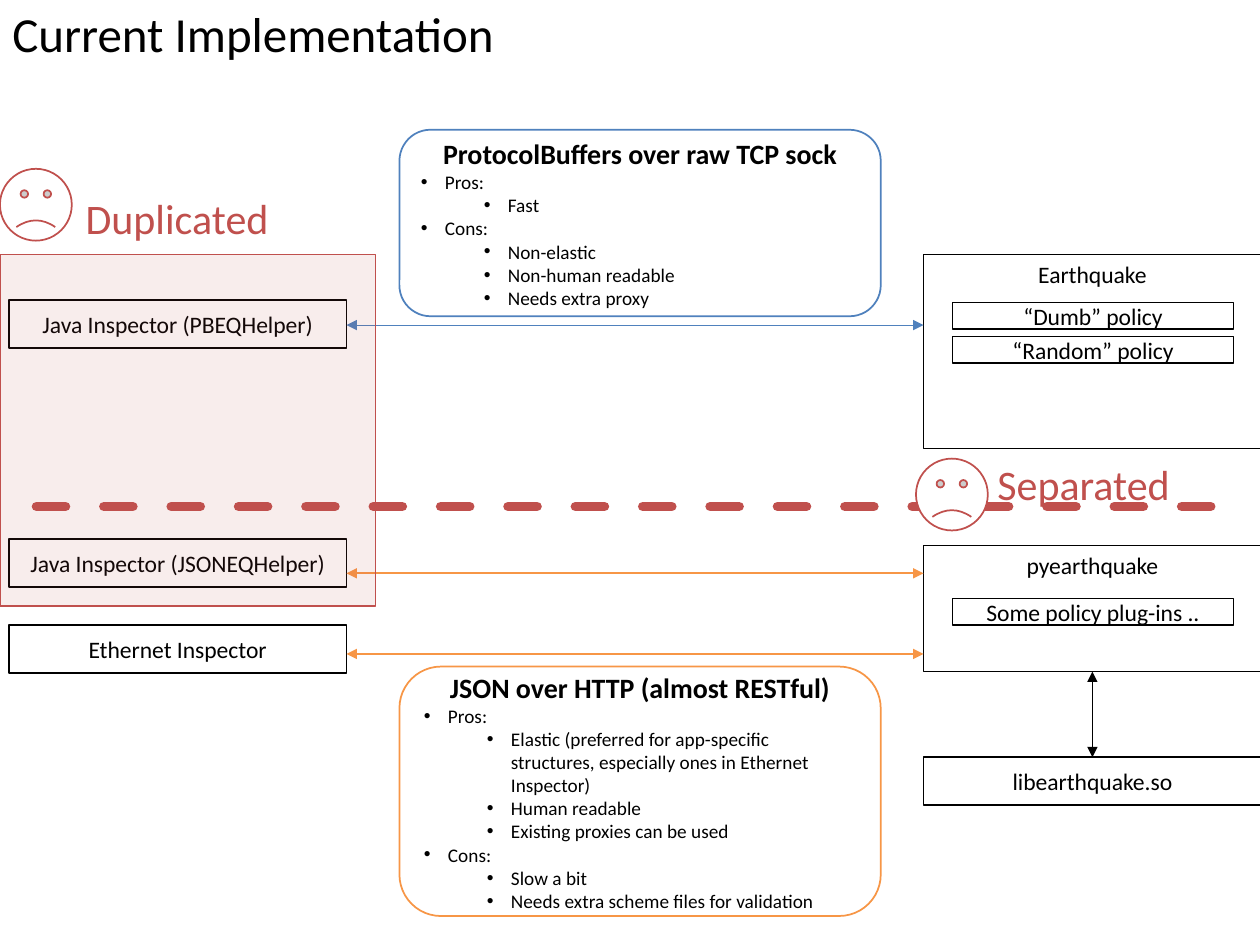
from dataclasses import dataclass

from lxml.etree import SubElement as Sub
from pptx import Presentation
from pptx.dml.color import RGBColor as Rgb
from pptx.enum.dml import MSO_LINE as Dash
from pptx.enum.shapes import MSO_CONNECTOR as Conn, MSO_SHAPE as Kind
from pptx.enum.text import MSO_ANCHOR as Anchor, MSO_AUTO_SIZE as Fit, PP_ALIGN as Align
from pptx.oxml.ns import qn
from pptx.util import Inches, Pt


@dataclass(frozen=True)
class Theme:
    """Colours, type sizes and font."""
    font: str = "Calibri"
    ink: str = "000000"
    paper: str = "FFFFFF"
    blue: str = "4F81BD"
    orange: str = "F79646"
    red: str = "C0504D"
    title: float = 28
    mood: float = 24
    head: float = 16
    body: float = 13.5
    note: float = 11


class Board:
    """Draws styled parts on one slide."""

    def __init__(self, slide, theme):
        """Keep the slide and the theme."""
        self.shapes, self.theme = slide.shapes, theme

    def add_text(self, para, text, size, color=None, bold=False):
        """Add one run to a paragraph."""
        run = para.add_run()
        run.text = text
        font = run.font
        font.name, font.size, font.bold = self.theme.font, Pt(size), bold
        font.color.rgb = Rgb.from_string(color or self.theme.ink)

    def shape(self, kind, at, line, alpha=None):
        """Add an outlined shape, white or tinted with its line colour."""
        form = self.shapes.add_shape(kind, *map(Inches, at))
        form.shadow.inherit = False
        form.fill.solid()
        form.fill.fore_color.rgb = Rgb.from_string(line if alpha else self.theme.paper)
        if alpha:
            tint = form._element.spPr.find(qn("a:solidFill"))[0]
            Sub(tint, qn("a:alpha"), val=str(alpha * 1000))
        form.line.color.rgb = Rgb.from_string(line)
        form.line.width = Pt(1)
        return form

    def box(self, text, at, anchor=Anchor.MIDDLE):
        """Add a black box with a centred label."""
        frame = self.shape(Kind.RECTANGLE, at, self.theme.ink).text_frame
        frame.word_wrap, frame.vertical_anchor = True, anchor
        frame.margin_left = frame.margin_right = Inches(0.07)
        frame.margin_top = frame.margin_bottom = Inches(0.04)
        para = frame.paragraphs[0]
        para.alignment = Align.CENTER
        self.add_text(para, text, self.theme.body)

    def title(self, text, at):
        """Add the slide title."""
        frame = self.shapes.add_textbox(*map(Inches, at)).text_frame
        frame.word_wrap, frame.vertical_anchor = True, Anchor.MIDDLE
        para = frame.paragraphs[0]
        para.line_spacing = 0.9
        self.add_text(para, text, self.theme.title)

    def mood(self, text, at):
        """Add a red remark that fits its text."""
        frame = self.shapes.add_textbox(*map(Inches, at)).text_frame
        frame.word_wrap, frame.auto_size = False, Fit.SHAPE_TO_FIT_TEXT
        para = frame.paragraphs[0]
        para.alignment = Align.CENTER
        self.add_text(para, text, self.theme.mood, self.theme.red)

    def card(self, head, items, at, line):
        """Add a round card with a heading and (level, text) bullets."""
        frame = self.shape(Kind.ROUNDED_RECTANGLE, at, line).text_frame
        frame.word_wrap, frame.vertical_anchor = True, Anchor.MIDDLE
        para = frame.paragraphs[0]
        para.alignment = Align.CENTER
        self.add_text(para, head, self.theme.head, bold=True)
        for level, text in items:
            para = frame.add_paragraph()
            para.level, para.alignment = level, Align.LEFT
            props = para._p.get_or_add_pPr()
            props.set("marL", str(Inches(0.19 + 0.5 * level)))
            props.set("indent", str(Inches(-0.19)))
            Sub(props, qn("a:buFont"), typeface="Arial")
            Sub(props, qn("a:buChar"), char="•")
            self.add_text(para, text, self.theme.note)

    def line(self, start, end, color, width):
        """Add a plain line and return it with its XML."""
        link = self.shapes.add_connector(Conn.STRAIGHT, *map(Inches, start + end))
        link.line.color.rgb = Rgb.from_string(color)
        link.line.width = Pt(width)
        props = link._element.spPr
        Sub(props, qn("a:effectLst"))
        return link, props.find(qn("a:ln"))

    def arrow(self, start, end, color, width):
        """Add a line with a head at both ends."""
        _, stroke = self.line(start, end, color, width)
        for tip in ("a:headEnd", "a:tailEnd"):
            Sub(stroke, qn(tip), type="triangle")

    def split(self, start, end, color, width):
        """Add a dashed line with round caps."""
        link, stroke = self.line(start, end, color, width)
        link.line.dash_style = Dash.DASH
        stroke.set("cap", "rnd")

    def frown(self, left, top):
        """Add a sad face."""
        face = self.shape(Kind.SMILEY_FACE, (left, top, 0.57, 0.57), self.theme.red)
        face.adjustments[0] = -0.047


def main():
    """Build the slide."""
    deck = Presentation()
    deck.slide_width, deck.slide_height = Inches(10), Inches(7.5)
    theme = Theme()
    board = Board(deck.slides.add_slide(deck.slide_layouts[6]), theme)
    left, right, wide, tall = 0.07, 7.33, 2.68, 0.38
    edge = left + wide

    board.title("Current Implementation", (0, -0.01, 6.15, 0.6))

    board.box("Earthquake", (right, 2.02, wide, 1.54), Anchor.TOP)
    board.box("pyearthquake", (right, 4.33, wide, 1), Anchor.TOP)
    board.box("libearthquake.so", (right, 6.01, wide, tall))
    for text, top in (("“Dumb” policy", 2.4), ("“Random” policy", 2.67),
                      ("Some policy plug-ins ..", 4.75)):
        board.box(text, (7.56, top, 2.23, 0.21))
    for text, top in (("Java Inspector (PBEQHelper)", 2.38),
                      ("Java Inspector (JSONEQHelper)", 4.28),
                      ("Ethernet Inspector", 4.96)):
        board.box(text, (left, top, wide, tall))

    for y, color, width in ((2.58, theme.blue, 0.5), (4.55, theme.orange, 1),
                            (5.19, theme.orange, 1)):
        board.arrow((edge, y), (right, y), color, width)
    board.arrow((8.67, 5.33), (8.67, 6.01), theme.ink, 0.5)

    board.card("ProtocolBuffers over raw TCP sock", (
        (0, "Pros:"), (1, "Fast"),
        (0, "Cons:"), (1, "Non-elastic"), (1, "Non-human readable"),
        (1, "Needs extra proxy"),
    ), (3.17, 1.03, 3.82, 1.48), theme.blue)
    board.card("JSON over HTTP (almost RESTful)", (
        (0, "Pros:"),
        (1, "Elastic (preferred for app-specific structures, "
            "especially ones in Ethernet Inspector)"),
        (1, "Human readable"), (1, "Existing proxies can be used"),
        (0, "Cons:"), (1, "Slow a bit"),
        (1, "Needs extra scheme files for validation"),
    ), (3.17, 5.29, 3.82, 1.98), theme.orange)

    board.split((0.29, 4.02), (9.79, 4.02), theme.red, 5.5)
    board.frown(0, 1.34)
    board.mood("Duplicated", (0.55, 1.48, 1.71, 0.5))
    board.frown(7.27, 3.64)
    board.mood("Separated", (7.79, 3.59, 1.62, 0.5))
    board.shape(Kind.RECTANGLE, (0, 2.02, 2.98, 2.79), theme.red, alpha=10)

    deck.save("out.pptx")


main()
